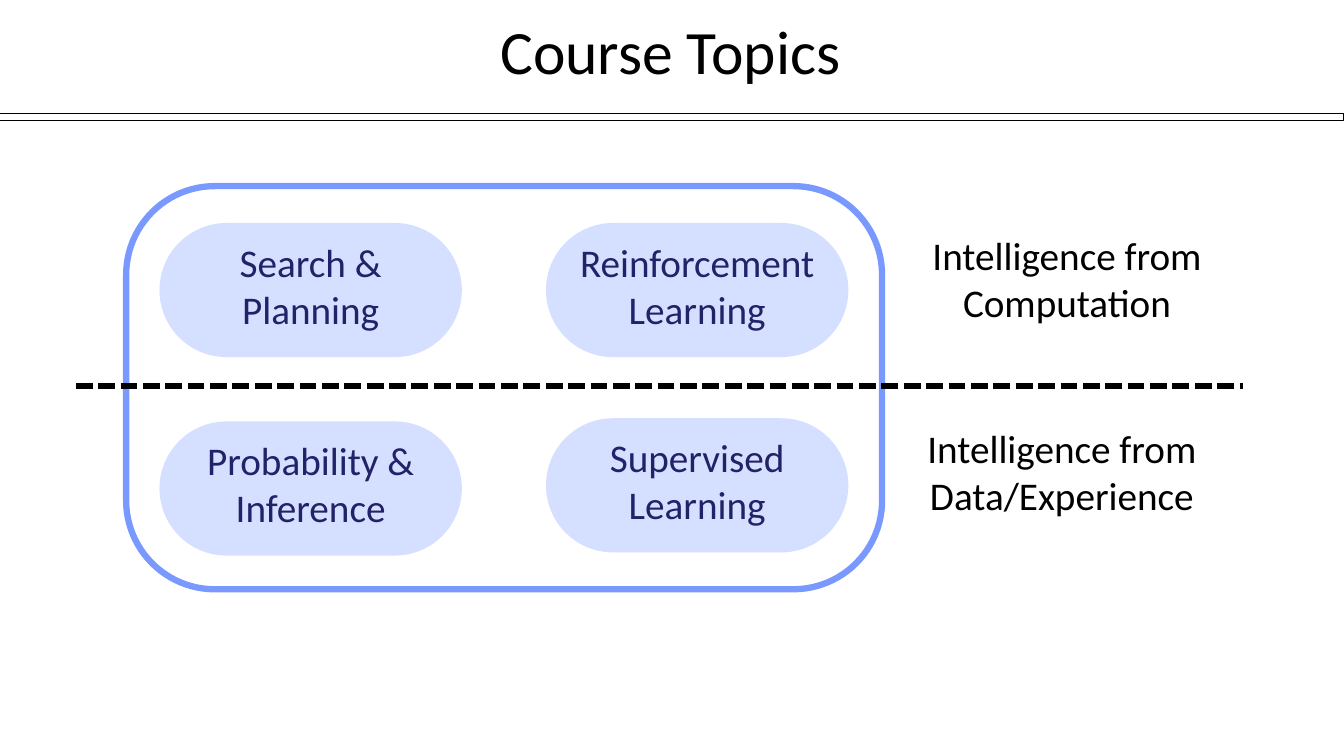
import pptx
import pptx.util
import pptx.dml.color
import pptx.enum.dml
import pptx.enum.shapes
import pptx.enum.text
from dataclasses import dataclass
from lxml import etree

Cm = pptx.util.Cm
Pt = pptx.util.Pt
Kind = pptx.enum.shapes.MSO_SHAPE
Anchor = pptx.enum.text.MSO_ANCHOR


@dataclass(frozen=True)
class Theme:
    font: str = "Calibri"
    title: int = 44
    body: int = 28
    ink: str = "000000"
    navy: str = "222268"
    edge: str = "7999FF"
    pale: str = "D5DFFF"


THEME = Theme()
WIDTH, HEIGHT = 33.87, 19.05


def rgb(code):
    return pptx.dml.color.RGBColor.from_string(code)


def write(frame, text, size, color, anchor, inset=(0, 0, 0, 0)):
    """Put one centred paragraph in a frame; inset is left, top, right, bottom."""
    frame.word_wrap = True
    frame.vertical_anchor = anchor
    (frame.margin_left, frame.margin_top,
     frame.margin_right, frame.margin_bottom) = map(Cm, inset)
    para = frame.paragraphs[0]
    para.text = text
    para.alignment = pptx.enum.text.PP_ALIGN.CENTER
    para.font.name = THEME.font
    para.font.size = Pt(size)
    para.font.color.rgb = rgb(color)


def add_shape(slide, kind, box, fill=None, line=None, width=0):
    shape = slide.shapes.add_shape(kind, *map(Cm, box))
    shape.shadow.inherit = False
    if fill:
        shape.fill.solid()
        shape.fill.fore_color.rgb = rgb(fill)
    else:
        shape.fill.background()
    if line:
        shape.line.color.rgb = rgb(line)
        shape.line.width = Pt(width)
    else:
        shape.line.fill.background()
    return shape


def add_pill(slide, left, top, text):
    pill = add_shape(slide, Kind.ROUNDED_RECTANGLE, (left, top, 7.62, 3.38), THEME.pale)
    pill.adjustments[0] = 0.5
    write(pill.text_frame, text, THEME.body, THEME.navy, Anchor.MIDDLE,
          (0.25, 0, 0.25, 0.25))


def add_label(slide, box, text, size):
    label = slide.shapes.add_textbox(*map(Cm, box))
    write(label.text_frame, text, size, THEME.ink, Anchor.TOP)


def add_dash(slide, left, right, top):
    dash = slide.shapes.add_connector(
        pptx.enum.shapes.MSO_CONNECTOR.STRAIGHT, Cm(left), Cm(top), Cm(right), Cm(top))
    dash.line.color.rgb = rgb(THEME.ink)
    dash.line.width = Pt(4)
    dash.line.dash_style = pptx.enum.dml.MSO_LINE.SQUARE_DOT
    props = dash.line._get_or_add_ln().getparent()
    etree.SubElement(props, pptx.oxml.ns.qn("a:effectLst"))


def main():
    deck = pptx.Presentation()
    deck.slide_width, deck.slide_height = Cm(WIDTH), Cm(HEIGHT)
    slide = deck.slides.add_slide(deck.slide_layouts[6])

    # Title and rule
    add_shape(slide, Kind.RECTANGLE, (0, 2.87, WIDTH, 0.17), line=THEME.ink, width=0.75)
    add_label(slide, (12.2, 0.33, 9.4, 1.93), "Course Topics", THEME.title)

    # Topics in their frame
    frame = add_shape(slide, Kind.ROUNDED_RECTANGLE, (3.18, 4.69, 19.05, 10.16),
                      line=THEME.edge, width=4.5)
    frame.adjustments[0] = 0.22
    for left, top, text in (
        (4.02, 5.62, "Search & Planning"),
        (13.76, 5.62, "Reinforcement Learning"),
        (4.02, 10.62, "Probability & Inference"),
        (13.76, 10.54, "Supervised Learning"),
    ):
        add_pill(slide, left, top, text)

    # Source of intelligence for each row
    for left, top, text in (
        (23.34, 5.84, "Intelligence from Computation"),
        (23.21, 10.7, "Intelligence from Data/Experience"),
    ):
        add_label(slide, (left, top, 7.1, 2.45), text, THEME.body)

    # Divider between the rows
    add_dash(slide, 1.91, 31.32, 9.73)

    deck.save("out.pptx")


if __name__ == "__main__":
    main()
